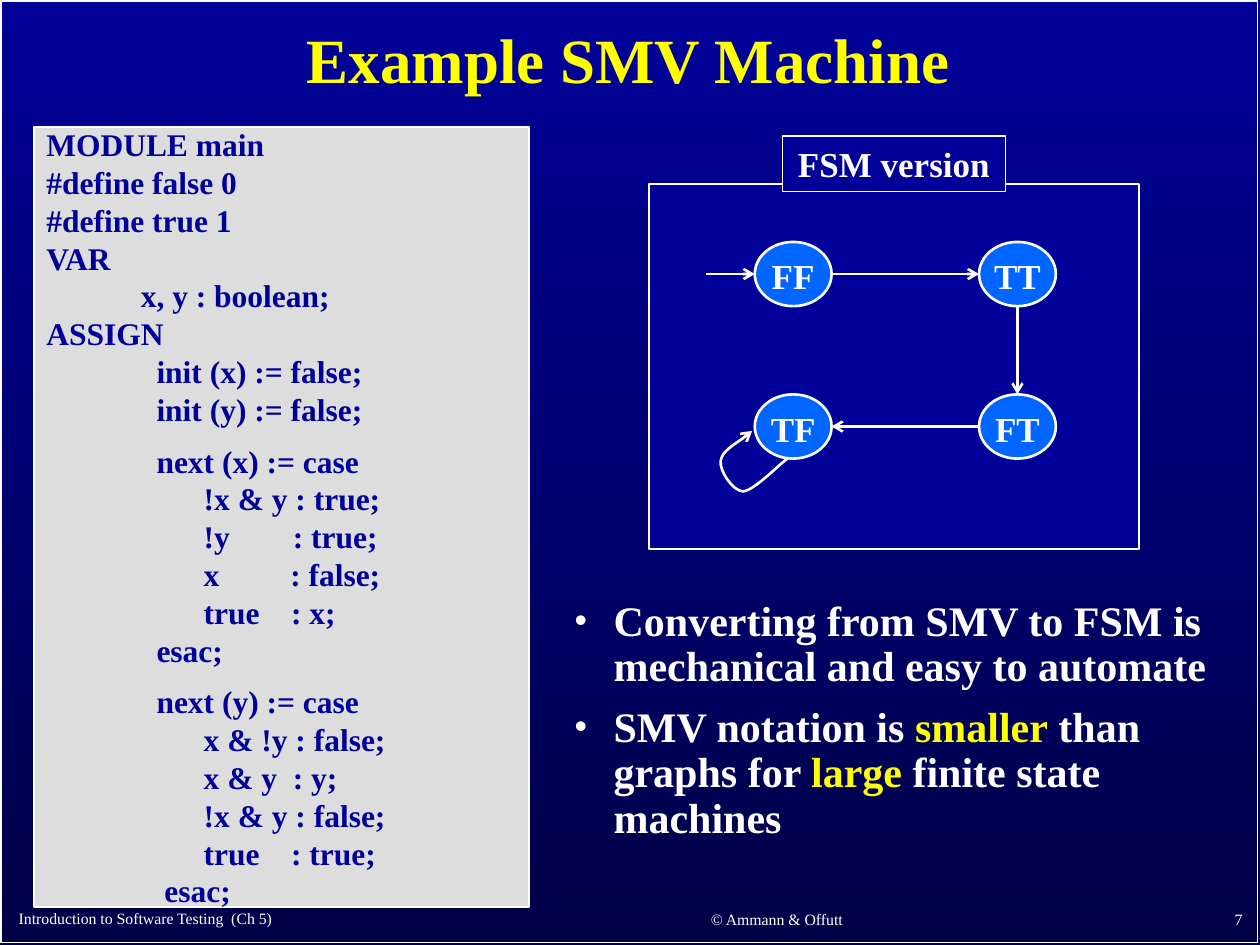
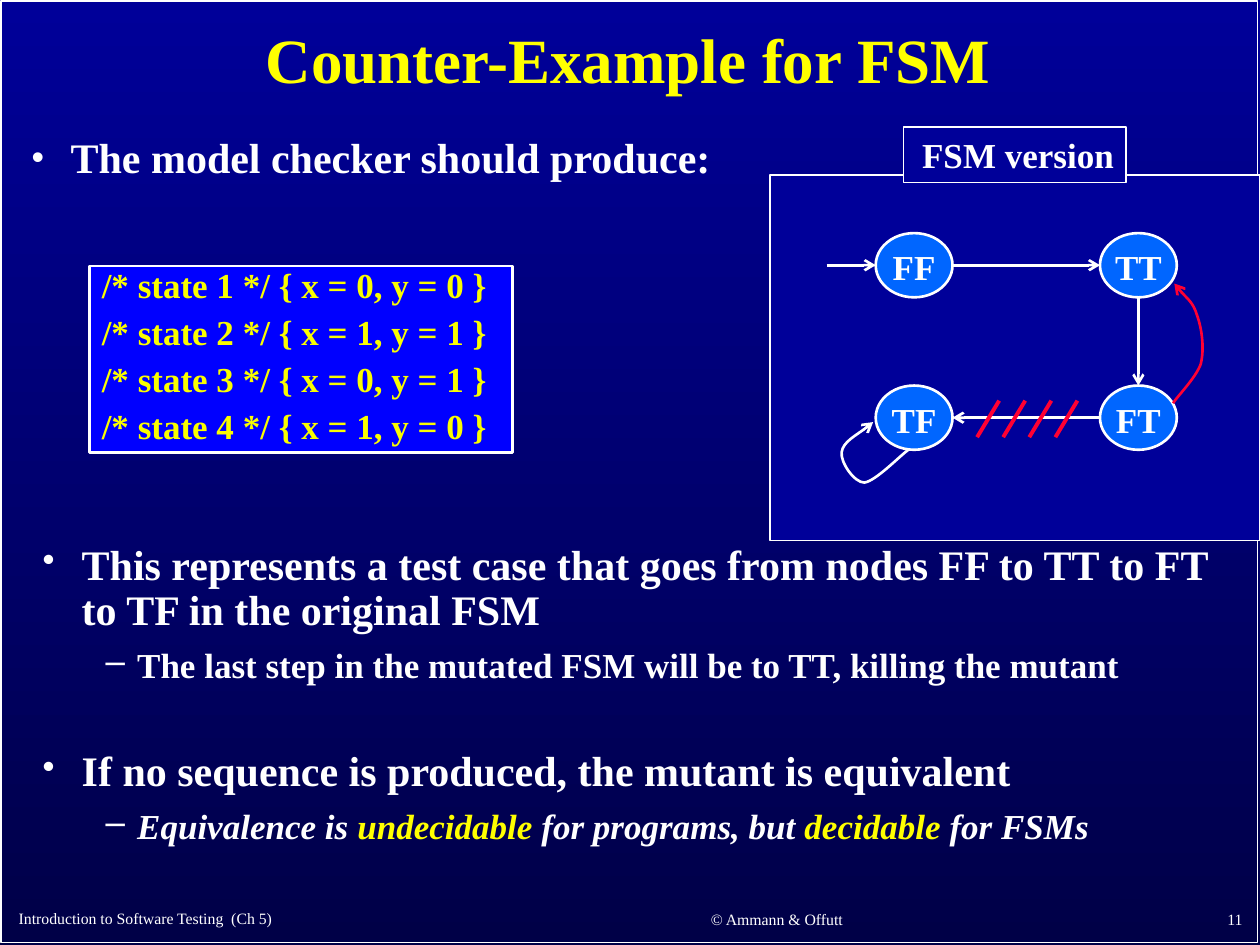
from dataclasses import dataclass

from lxml import etree
from pptx import Presentation
from pptx import util as u
from pptx.dml.color import RGBColor
from pptx.enum import shapes, text
from pptx.oxml.ns import qn


@dataclass(frozen=True)
class Theme:
    font: str = "Times New Roman"
    white: str = "FFFFFF"
    yellow: str = "FFFF00"
    navy: str = "000099"
    midnight: str = "000047"
    node: str = "0066FF"
    mutant: str = "FF0033"
    code_fill: str = "DDDDDD"
    trace_fill: str = "0000FF"
    trace_text: str = "FAFD00"
    title: int = 36
    bullet: int = 24
    label: int = 20
    code: int = 18
    footer: int = 9
    thin: float = 1
    medium: float = 1.5
    thick: float = 2.25


THEME = Theme()
COLUMNS, ROWS = 100, 75
CELL = u.Inches(0.1)
ALIGN, ANCHOR = text.PP_ALIGN, text.MSO_ANCHOR
NODE_W, NODE_H = 6.1, 5.1
NODES = {"FF": (8.4, 4.6), "TT": (26.2, 4.6),
         "TF": (8.4, 16.7), "FT": (26.2, 16.7)}
TF_LOOP = [(11, 21.8), (10.4, 22.2), (8.4, 24.3), (7.5, 24.4), (6.7, 24.4),
           (5.6, 22.8), (5.7, 22), (5.8, 21.2), (7.7, 20.1), (8.2, 19.6)]
FT_TO_TT = [(32, 18.1), (32.3, 17.6), (33.8, 16.1), (34.2, 15), (34.5, 13.8),
            (34.3, 12.2), (33.9, 11.1), (33.6, 10.1), (32.4, 9.1), (32.1, 8.6)]
# Bullet, its size in percent, margin in inches, hanging in inches, type size, space before
LEVELS = [("•", 85, 0.31, 0.31, THEME.bullet, 9),
          ("–", 100, 0.75, 0.25, THEME.label, 7.5)]

SMV_CODE = """\
MODULE main
#define false 0
#define true 1
VAR
            x, y : boolean;
ASSIGN
              init (x) := false;
              init (y) := false;
              next (x) := case
                    !x & y : true;
                    !y        : true;
                    x         : false;
                    true    : x;
              esac;
              next (y) := case
                    x & !y : false;
                    x & y  : y;
                    !x & y : false;
                    true    : true;
               esac;"""


def cells(*values):
    """Turn grid units into whole EMU."""
    return [u.Emu(round(v * CELL)) for v in values]


def assign(obj, **values):
    for name, value in values.items():
        setattr(obj, name, value)


class Deck:
    """The presentation, its style and the slide being drawn."""

    def __init__(self):
        self.prs = Presentation()
        assign(self.prs, slide_width=COLUMNS * CELL, slide_height=ROWS * CELL)
        fill = self.prs.slide_master.background.fill
        fill.gradient()
        fill.gradient_angle = 270
        ends = (0, THEME.navy), (1, THEME.midnight)
        for stop, (position, color) in zip(fill.gradient_stops, ends):
            stop.position = position
            stop.color.rgb = RGBColor.from_string(color)

    def new_slide(self, title, number):
        self.slide = self.prs.slides.add_slide(self.prs.slide_layouts[1])
        self.shapes = self.slide.shapes
        self.shape("RECTANGLE", (0.1, 0.1, 99.7, 74.7))
        sp = self.shapes.title
        self.place(sp, (1.4, 1.1, 96.9, 7.9))
        self.put_lines(sp, [title], THEME.title, THEME.yellow, ALIGN.CENTER,
                       ANCHOR.MIDDLE, line_spacing=0.9)
        footers = [((0.5, 71, 44.2, 3.1), "Introduction to Software Testing  (Ch 5)", ALIGN.LEFT),
                   ((45.8, 71.4, 31.7, 2.8), "© Ammann & Offutt", ALIGN.CENTER),
                   ((78.8, 71.3, 20.8, 2.9), str(number), ALIGN.RIGHT)]
        for box, words, align in footers:
            sp = self.shapes.add_textbox(*cells(*box))
            self.put_lines(sp, [words], THEME.footer, THEME.white, align,
                           ANCHOR.BOTTOM, bold=False)

    def place(self, sp, box):
        assign(sp, **dict(zip(("left", "top", "width", "height"), cells(*box))))

    def stroke(self, sp, color, width, arrow=False):
        sp.line.color.rgb = RGBColor.from_string(color)
        sp.line.width = u.Pt(width)
        if arrow:
            ln = sp._element.spPr.find(qn("a:ln"))
            etree.SubElement(ln, qn("a:tailEnd"), type="arrow")

    def style_font(self, font, size, color, **values):
        assign(font, name=THEME.font, size=u.Pt(size), **values)
        font.color.rgb = RGBColor.from_string(color)

    def put_lines(self, sp, lines, size, color, align=ALIGN.LEFT, anchor=ANCHOR.TOP,
                  bold=True, gaps=None, **spacing):
        """Fill a shape with plain lines; gaps maps a line number to the points before it."""
        tf = sp.text_frame
        assign(tf, word_wrap=True, auto_size=text.MSO_AUTO_SIZE.NONE,
               vertical_anchor=anchor)
        for i, line in enumerate(lines):
            p = tf.add_paragraph() if i else tf.paragraphs[0]
            assign(p, alignment=align, space_before=u.Pt((gaps or {}).get(i, 0)), **spacing)
            r = p.add_run()
            r.text = line
            self.style_font(r.font, size, color, bold=bold)

    def shape(self, kind, box, fill=None, width=THEME.thin):
        sp = self.shapes.add_shape(shapes.MSO_SHAPE[kind], *cells(*box))
        sp.shadow.inherit = False
        if fill:
            sp.fill.solid()
            sp.fill.fore_color.rgb = RGBColor.from_string(fill)
        else:
            sp.fill.background()
        self.stroke(sp, THEME.white, width)
        return sp

    def line(self, start, end, color=THEME.white, width=THEME.medium, arrow=True):
        sp = self.shapes.add_connector(shapes.MSO_CONNECTOR.STRAIGHT,
                                       *cells(*start, *end))
        self.stroke(sp, color, width, arrow)
        etree.SubElement(sp._element.spPr, qn("a:effectLst"))

    def curve(self, points, color=THEME.white):
        """Draw an arrow through cubic Bézier points: a start, then three per segment."""
        start, *rest = [cells(*point) for point in points]
        builder = self.shapes.build_freeform(*start)
        builder.add_line_segments(rest, close=False)
        sp = builder.convert_to_shape()
        outline = sp._element.xpath(".//a:path")[0]
        legs = outline.findall(qn("a:lnTo"))
        for i in range(0, len(legs), 3):
            bezier = etree.SubElement(outline, qn("a:cubicBezTo"))
            for leg in legs[i:i + 3]:
                bezier.append(leg[0])
                outline.remove(leg)
        sp.fill.background()
        sp.shadow.inherit = False
        self.stroke(sp, color, THEME.medium, arrow=True)

    def bullets(self, sp, items):
        """Fill with (level, text, options) items; text between bars is highlighted."""
        tf = sp.text_frame
        assign(tf, word_wrap=True, auto_size=text.MSO_AUTO_SIZE.NONE,
               vertical_anchor=ANCHOR.TOP)
        for i, (level, words, options) in enumerate(items):
            mark, percent, margin, hang, size, before = LEVELS[level]
            p = tf.add_paragraph() if i else tf.paragraphs[0]
            pPr = p._p.get_or_add_pPr()
            pPr.set("marL", str(u.Inches(margin)))
            pPr.set("indent", str(-u.Inches(hang)))
            tint = etree.SubElement(pPr, qn("a:buClr"))
            etree.SubElement(tint, qn("a:srgbClr"), val=THEME.white)
            etree.SubElement(pPr, qn("a:buSzPct"), val=str(percent * 1000))
            etree.SubElement(pPr, qn("a:buChar"), char=mark)
            before = options.get("before", before) if i else 0
            assign(p, level=level, line_spacing=0.9, space_before=u.Pt(before))
            for j, part in enumerate(words.split("|")):
                r = p.add_run()
                r.text = part
                color = THEME.yellow if j % 2 else THEME.white
                self.style_font(r.font, size, color, bold=True,
                                italic=options.get("italic", False))

    def body(self, box, items):
        sp = self.slide.placeholders[1]
        self.place(sp, box)
        self.bullets(sp, items)

    def state_machine(self, left, top, label_align, mutated=False):
        def at(x, y):
            return left + x, top + y

        self.shape("RECTANGLE", (left, top, 38.9, 29), THEME.navy)
        for name, corner in NODES.items():
            sp = self.shape("OVAL", (*at(*corner), NODE_W, NODE_H),
                            THEME.node, THEME.medium)
            self.put_lines(sp, [name], THEME.label, THEME.white, ALIGN.CENTER, ANCHOR.MIDDLE)
            assign(sp.text_frame, word_wrap=False, margin_left=0, margin_right=0,
                   margin_top=u.Pt(2), margin_bottom=0)
        west, north = NODES["FF"]
        east, south = NODES["FT"]
        upper, lower = north + NODE_H / 2, south + NODE_H / 2
        middle = east + NODE_W / 2
        for start, end in [((west - 3.9, upper), (west, upper)),
                           ((west + NODE_W, upper), (east, upper)),
                           ((middle, north + NODE_H), (middle, south)),
                           ((east, lower), (west + NODE_W, lower))]:
            self.line(at(*start), at(*end))
        self.curve([at(*point) for point in TF_LOOP])
        sp = self.shape("RECTANGLE", (*at(10.6, -3.8), 17.7, 4.4), THEME.navy)
        self.put_lines(sp, ["FSM version"], THEME.label, THEME.white, label_align)
        if mutated:
            for i in range(4):
                x = 18.2 + 2.07 * i
                self.line(at(x, 17.9), at(x - 1.75, 20.8), THEME.mutant,
                          THEME.thick, arrow=False)
            self.curve([at(*point) for point in FT_TO_TT], THEME.mutant)


def smv_example(deck):
    deck.new_slide("Example SMV Machine", 7)
    deck.body((44.6, 47.1, 52.7, 23.5), [
        (0, "Converting from SMV to FSM is mechanical and easy to automate", {}),
        (0, "SMV notation is |smaller| than graphs for |large| finite state machines", {})])
    sp = deck.shape("RECTANGLE", (2.7, 10.1, 39.3, 61.9), THEME.code_fill)
    lines = SMV_CODE.splitlines()
    gaps = {i: 8 for i, line in enumerate(lines) if "next" in line}
    deck.put_lines(sp, lines, THEME.code, THEME.navy, anchor=ANCHOR.MIDDLE, gaps=gaps)
    deck.state_machine(51.5, 14.6, ALIGN.CENTER)


def counter_example(deck):
    deck.new_slide("Counter-Example for FSM", 11)
    deck.body((1.5, 10.4, 97, 5.5), [(0, "The model checker should produce:", {})])
    deck.state_machine(61.1, 13.9, ALIGN.RIGHT, mutated=True)
    sp = deck.shapes.add_textbox(*cells(2.4, 42.7, 96.1, 26.9))
    deck.bullets(sp, [
        (0, "This represents a test case that goes from nodes FF to TT to FT to TF "
            "in the original FSM", {}),
        (1, "The last step in the mutated FSM will be to TT, killing the mutant", {}),
        (0, "If no sequence is produced, the mutant is equivalent", {"before": 37}),
        (1, "Equivalence is |undecidable| for programs, but |decidable| for FSMs",
         {"italic": True})])
    sp = deck.shape("RECTANGLE", (7.1, 21.1, 33.6, 14.8), THEME.trace_fill, THEME.medium)
    trace = [(0, 0), (1, 1), (0, 1), (1, 0)]
    lines = [f"/* state {i} */ {{ x = {x}, y = {y} }}" for i, (x, y) in enumerate(trace, 1)]
    deck.put_lines(sp, lines, THEME.label, THEME.trace_text, line_spacing=0.8,
                   gaps=dict.fromkeys(range(1, len(lines)), 7.5))


def main():
    deck = Deck()
    smv_example(deck)
    counter_example(deck)
    deck.prs.save("out.pptx")


if __name__ == "__main__":
    main()
